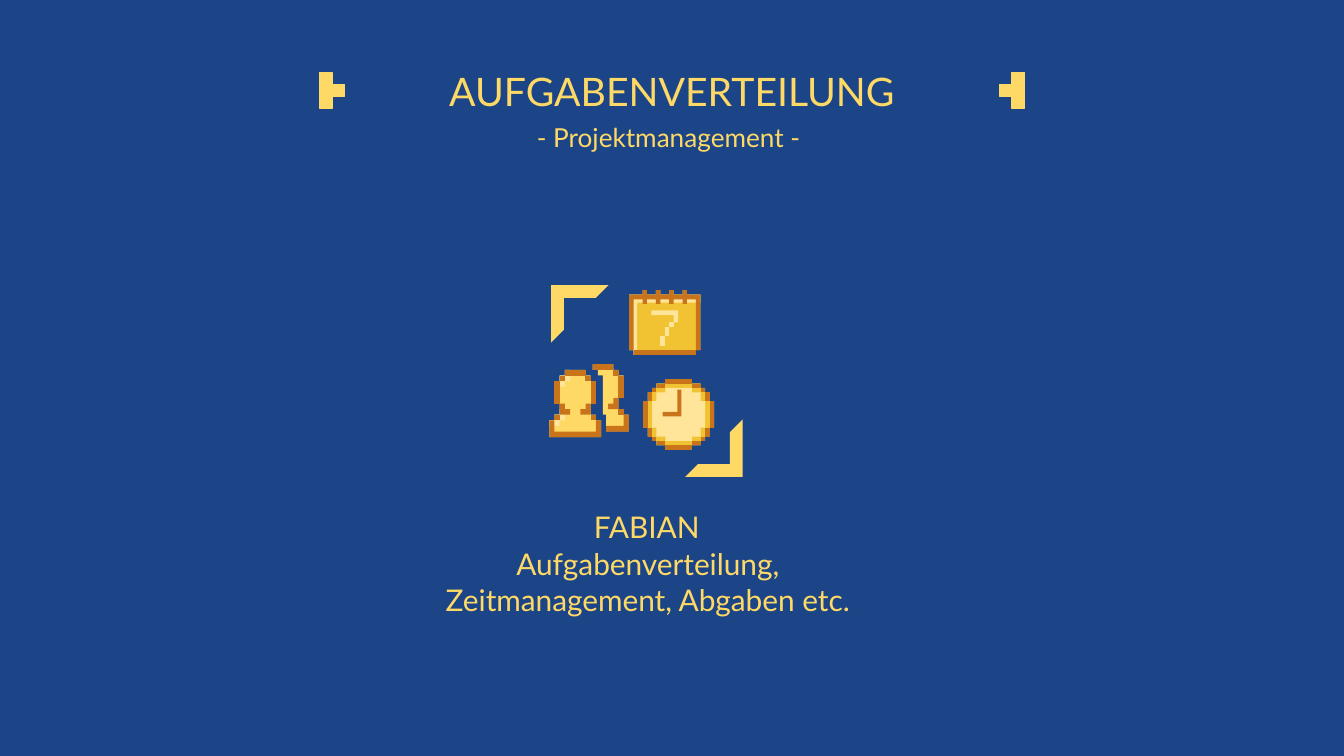
import pptx
import pptx.dml.color
import pptx.enum.shapes
import pptx.enum.text
import pptx.util

Pt = pptx.util.Pt
COLORS = {
    "background": "1C4587",
    "yellow": "FFD966",
    "light": "FFE599",
    "gold": "F1C232",
    "brown": "C9741B",
}


def add_text(text, *, left, top, width, height, size, anchor="BOTTOM", color="yellow"):
    box = slide.shapes.add_textbox(Pt(left), Pt(top), Pt(width), Pt(height))
    frame = box.text_frame
    frame.word_wrap = True
    frame.vertical_anchor = pptx.enum.text.MSO_ANCHOR[anchor]
    frame.margin_left = frame.margin_right = Pt(7.2)
    frame.margin_top = frame.margin_bottom = Pt(7.2)
    paragraph = frame.paragraphs[0]
    paragraph.alignment = pptx.enum.text.PP_ALIGN.CENTER
    run = paragraph.add_run()
    run.text = text
    run.font.name = "Lato"
    run.font.size = Pt(size)
    run.font.color.rgb = pptx.dml.color.RGBColor.from_string(COLORS[color])


def draw_pixels(group, grid, color, corners, outlined=False):
    left, top, pixel_width, pixel_height = grid
    points = []
    for (x, y), (next_x, _) in zip(corners, corners[1:] + corners[:1]):
        points += [(x, y), (next_x, y)]
    points = [(Pt(left + x * pixel_width), Pt(top + y * pixel_height)) for x, y in points]
    builder = group.shapes.build_freeform(*points[0])
    builder.add_line_segments(points[1:], close=True)
    area = builder.convert_to_shape()
    area.shadow.inherit = False
    rgb = pptx.dml.color.RGBColor.from_string(COLORS[color])
    area.fill.solid()
    area.fill.fore_color.rgb = rgb
    if outlined:
        area.line.color.rgb = rgb
        area.line.width = Pt(0.75)
    else:
        area.line.fill.background()


deck = pptx.Presentation()
deck.slide_width, deck.slide_height = Pt(720), Pt(405)
slide = deck.slides.add_slide(deck.slide_layouts[6])
slide.background.fill.solid()
slide.background.fill.fore_color.rgb = pptx.dml.color.RGBColor.from_string(COLORS["background"])

add_text("AUFGABENVERTEILUNG", left=24.5, top=23, width=671, height=45.4, size=21)

for marker_left, bar_column in ((171.3, 0), (535.5, 1)):
    marker = slide.shapes.add_group_shape()
    for column, row in [(bar_column, 0), (bar_column, 1), (bar_column, 2), (1 - bar_column, 1)]:
        square = [(column, row), (column + 1, row + 1)]
        draw_pixels(marker, (marker_left, 38.95, 6.6, 6.36), "yellow", square, outlined=True)

add_text("- Projektmanagement - ", left=24.5, top=43.9, width=671, height=45.4, size=14)
add_text("FABIAN", left=224.8, top=267.8, width=243.4, height=31, size=16)

brackets = slide.shapes.add_group_shape()
for left, top, rotation in ((295.2, 152.7, 0), (367.1, 224.7, 180)):
    bracket = brackets.shapes.add_shape(
        pptx.enum.shapes.MSO_SHAPE.HALF_FRAME, Pt(left), Pt(top), Pt(30.8), Pt(30.8))
    bracket.rotation = rotation
    bracket.adjustments[0] = bracket.adjustments[1] = 0.222
    bracket.shadow.inherit = False
    bracket.fill.solid()
    bracket.fill.fore_color.rgb = pptx.dml.color.RGBColor.from_string(COLORS["yellow"])
    bracket.line.fill.background()

front_person = [
    ("yellow", [(3, 0), (7, 1), (8, 2), (9, 6), (8, 8), (9, 9), (10, 12), (0, 9), (1, 8),
                (2, 6), (1, 2), (2, 1)]),
    ("light", [(3, 0), (4, 2), (3, 3), (1, 2), (2, 1)]),
    ("light", [(2, 7), (3, 9), (2, 10), (0, 9), (1, 8)]),
    ("brown", [(1, 2), (2, 6)]),
    ("brown", [(8, 2), (9, 6)]),
    ("brown", [(3, 0), (7, 1)]),
    ("brown", [(2, 1), (3, 2)]),
    ("brown", [(7, 1), (8, 2)]),
    ("brown", [(7, 6), (8, 8), (6, 7)]),
    ("brown", [(1, 8), (2, 9)]),
    ("brown", [(8, 8), (9, 9)]),
    ("brown", [(0, 9), (1, 11), (9, 9), (10, 12)]),
    ("brown", [(2, 6), (3, 7), (4, 8)]),
]
back_person = [
    ("yellow", [(0, 0), (4, 1), (5, 2), (6, 6), (5, 8), (6, 9), (7, 12), (2.6, 9), (2, 2),
                (1, 1)]),
    ("brown", [(5, 2), (6, 6)]),
    ("brown", [(0, 0), (4, 1)]),
    ("brown", [(4, 1), (5, 2)]),
    ("brown", [(4, 6), (5, 8), (3, 7)]),
    ("brown", [(5, 8), (6, 9)]),
    ("brown", [(6, 9), (7, 12), (2.6, 11)]),
]

ring_columns = (3, 6, 9, 12)
ring_tops = [corner for x in ring_columns for corner in ((x, 0), (x + 1, 1))]
ring_ends = [corner for x in reversed(ring_columns) for corner in ((x + 1, 3), (x, 2))]
calendar = [
    ("gold", ring_tops + [(16, 13), (15, 14), (1, 13), (0, 1)]),
    ("light", [(7, 10), (8, 12)]),
    ("light", [(5, 4.4), (11, 7), (10, 5.4)]),
    ("light", [(8, 8), (9, 10)]),
    ("light", [(9, 7), (10, 8)]),
    ("light", [(0, 1), (16, 2.7), (1.8, 14), (1, 13)]),
    ("brown", [(1, 13), (15, 14)]),
    ("brown", ring_tops + [(16, 13), (15, 2)] + ring_ends + [(1, 13), (0, 1)]),
]

clock = [
    ("gold", [(5, 0), (11, 1), (13, 2), (14, 3), (15, 5), (16, 11), (15, 13), (14, 14), (13, 15),
              (11, 16), (5, 15), (3, 14), (2, 13), (1, 11), (0, 5), (1, 3), (2, 2), (3, 1)]),
    ("light", [(5, 2), (11, 3), (13, 5), (14, 11), (13, 13), (11, 14), (5, 13), (3, 11), (2, 5),
               (3, 3)]),
]
for left, top, right, bottom in ((3, 1, 5, 2), (2, 2, 3, 3), (1, 3, 2, 5)):
    for x, next_x in ((left, right), (16 - right, 16 - left)):
        for y, next_y in ((top, bottom), (16 - bottom, 16 - top)):
            clock.append(("brown", [(x, y), (next_x, next_y)]))
for edge in (0, 15):
    clock.append(("brown", [(5, edge), (11, edge + 1)]))
    clock.append(("brown", [(edge, 5), (edge + 1, 11)]))
clock.append(("brown", [(7.7, 2.4), (8.6, 8.4), (4.4, 7.4)]))

icons = [
    [((294.3, 198.2, 2.77, 3), front_person), ((317.5, 195.2, 2.77, 3), back_person)],
    [((337.1, 155.4, 2.38, 2.48), calendar)],
    [((344.6, 203.1, 2.37, 2.37), clock)],
]
for icon_parts in icons:
    icon = slide.shapes.add_group_shape()
    for grid, areas in icon_parts:
        for color, corners in areas:
            draw_pixels(icon, grid, color, corners)

add_text("Aufgabenverteilung, Zeitmanagement, Abgaben etc.",
         left=225.4, top=285.1, width=243.4, height=87.1, size=16, anchor="TOP")

deck.save("out.pptx")
